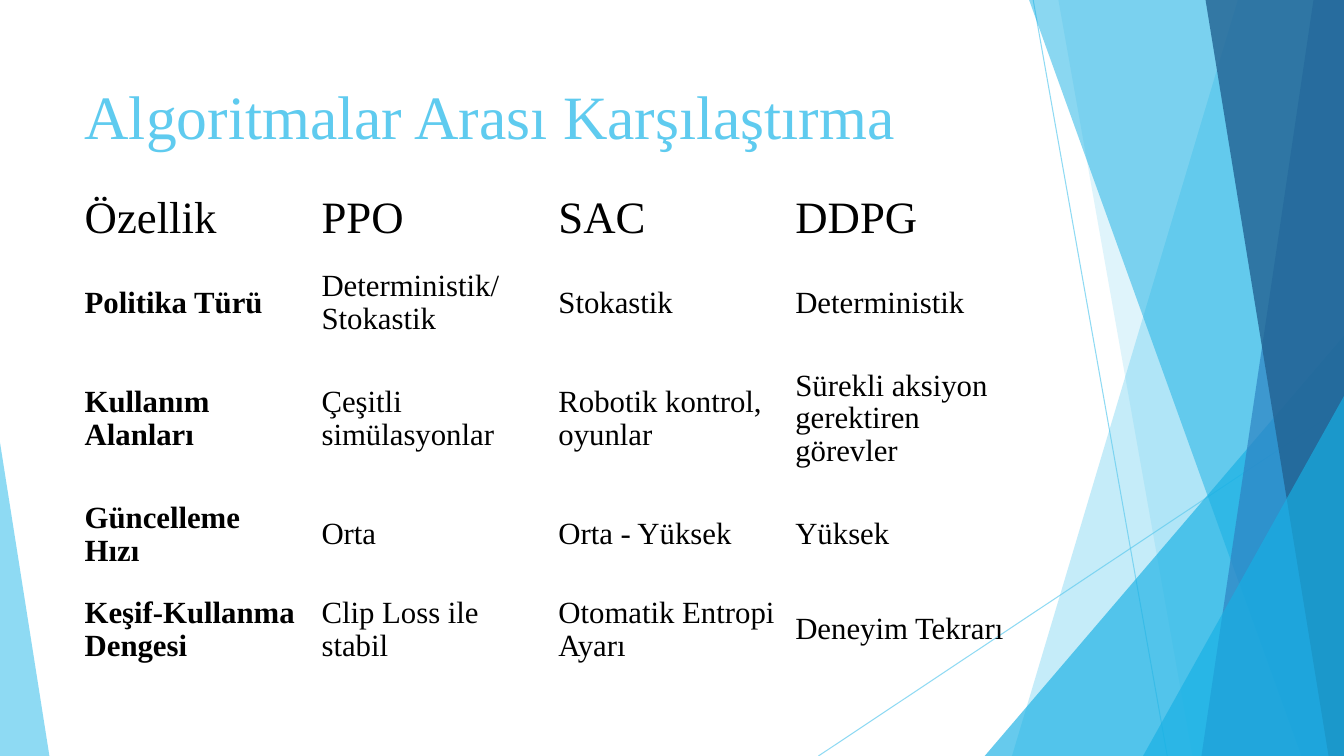
"""Build a slide that compares three learning algorithms in a table."""
from dataclasses import dataclass

from lxml import etree
from pptx import Presentation
from pptx.dml.color import RGBColor
from pptx.enum.shapes import MSO_CONNECTOR, MSO_SHAPE
from pptx.enum.text import MSO_ANCHOR
from pptx.oxml.ns import qn
from pptx.util import Pt

STRAIGHT = MSO_CONNECTOR.STRAIGHT
TRIANGLE = MSO_SHAPE.ISOSCELES_TRIANGLE
MIDDLE = MSO_ANCHOR.MIDDLE
TOP = MSO_ANCHOR.TOP
WIDTH, HEIGHT = 960, 540
NO_GRID = "{2D5ABB26-0587-4C30-8999-92F81FD0307C}"


@dataclass(frozen=True)
class Theme:
    font: str = "Times New Roman"
    sky: str = "5FCBEF"
    cyan: str = "17B0E4"
    blue: str = "2E83C3"
    navy: str = "226292"
    ink: str = "000000"
    title: int = 44
    head: int = 32
    body: int = 22


@dataclass(frozen=True)
class Ray:
    x1: float
    y1: float
    x2: float
    y2: float


@dataclass(frozen=True)
class Facet:
    top: float
    base: float
    color: str
    alpha: int


@dataclass(frozen=True)
class Wedge:
    left: float
    top: float
    width: float
    apex: float
    color: str
    alpha: int


THEME = Theme()
RAYS = [Ray(738, 0, 833.8, HEIGHT), Ray(WIDTH, 290.2, 584.6, HEIGHT)]
PANES = [
    Facet(884.2, 722.9, THEME.sky, 36),
    Facet(756, 851.8, THEME.sky, 20),
    Wedge(703.4, 239.8, 256.6, 1, THEME.cyan, 66),
    Facet(735.1, 929.5, THEME.cyan, 50),
    Facet(938.2, 858.2, THEME.blue, 70),
    Facet(861.1, 949, THEME.navy, 80),
    Wedge(816.5, 283, 143.5, 1, THEME.cyan, 66),
    Wedge(0, 316.1, 35.3, 0, THEME.sky, 70),
]
LEFT, SPAN = 53.3, 676.8
TITLE = "Algoritmalar Arası Karşılaştırma"
ROWS = [
    ["Özellik", "PPO", "SAC", "DDPG"],
    ["Politika Türü", "Deterministik/\nStokastik", "Stokastik", "Deterministik"],
    ["Kullanım Alanları", "Çeşitli simülasyonlar", "Robotik kontrol, oyunlar",
     "Sürekli aksiyon gerektiren görevler"],
    ["Güncelleme Hızı", "Orta", "Orta - Yüksek", "Yüksek"],
    ["Keşif-Kullanma Dengesi", "Clip Loss ile stabil",
     "Otomatik Entropi Ayarı", "Deneyim Tekrarı"],
]
HEIGHTS = [51.8, 67.7, 97.9, 67.7, 67.7]


def fade(shape, alpha: int) -> None:
    """Set the opacity of a shape's colour in percent."""
    for color in shape.element.spPr.iter(qn("a:srgbClr")):
        etree.SubElement(color, qn("a:alpha")).set("val", str(alpha * 1000))


def draw_ray(slide, ray: Ray) -> None:
    """Draw one thin line."""
    line = slide.shapes.add_connector(
        STRAIGHT, Pt(ray.x1), Pt(ray.y1), Pt(ray.x2), Pt(ray.y2))
    line.line.width = Pt(0.75)
    line.line.color.rgb = RGBColor.from_string(THEME.sky)
    fade(line, 70)
    etree.SubElement(line.element.spPr, qn("a:effectLst"))


def draw_pane(slide, pane: Facet | Wedge) -> None:
    """Draw one translucent facet or wedge."""
    if isinstance(pane, Wedge):
        shape = slide.shapes.add_shape(
            TRIANGLE, Pt(pane.left), Pt(pane.top),
            Pt(pane.width), Pt(HEIGHT - pane.top))
        shape.adjustments[0] = pane.apex
    else:
        form = slide.shapes.build_freeform(Pt(pane.top), 0)
        form.add_line_segments([(Pt(WIDTH), 0), (Pt(WIDTH), Pt(HEIGHT)),
                                (Pt(pane.base), Pt(HEIGHT))])
        shape = form.convert_to_shape()
    shape.shadow.inherit = False
    shape.fill.solid()
    shape.fill.fore_color.rgb = RGBColor.from_string(pane.color)
    shape.line.fill.background()
    fade(shape, pane.alpha)


def write(frame, text: str, size: int, color: str, bold: bool = False) -> None:
    """Fill a text frame in one style."""
    frame.text = text
    frame.word_wrap = True
    for para in frame.paragraphs:
        para.font.name = THEME.font
        para.font.size = Pt(size)
        para.font.bold = bold
        para.font.color.rgb = RGBColor.from_string(color)


def draw_title(slide) -> None:
    """Draw the slide title."""
    box = slide.shapes.add_textbox(Pt(LEFT), Pt(48.2), Pt(SPAN), Pt(74.9))
    write(box.text_frame, TITLE, THEME.title, THEME.sky)
    box.text_frame.vertical_anchor = TOP
    box.text_frame.margin_top = Pt(7.6)


def draw_table(slide) -> None:
    """Draw the comparison table."""
    count = len(ROWS[0])
    frame = slide.shapes.add_table(
        len(ROWS), count, Pt(LEFT), Pt(131), Pt(SPAN), Pt(sum(HEIGHTS)))
    table = frame.table
    table.first_row = table.horz_banding = False
    for style in frame.element.iter(qn("a:tableStyleId")):
        style.text = NO_GRID
    for column in table.columns:
        column.width = Pt(SPAN / count)
    for r, (texts, height) in enumerate(zip(ROWS, HEIGHTS)):
        table.rows[r].height = Pt(height)
        for c, text in enumerate(texts):
            cell = table.cell(r, c)
            cell.fill.background()
            cell.vertical_anchor = MIDDLE
            size = THEME.body if r else THEME.head
            write(cell.text_frame, text, size, THEME.ink, r > 0 and c == 0)
            for para in cell.text_frame.paragraphs:
                para.line_spacing = 0.96


def main() -> None:
    """Build and save the slide."""
    deck = Presentation()
    deck.slide_width, deck.slide_height = Pt(WIDTH), Pt(HEIGHT)
    slide = deck.slides.add_slide(deck.slide_layouts[6])
    for ray in RAYS:
        draw_ray(slide, ray)
    for pane in PANES:
        draw_pane(slide, pane)
    draw_title(slide)
    draw_table(slide)
    deck.save("out.pptx")


if __name__ == "__main__":
    main()
